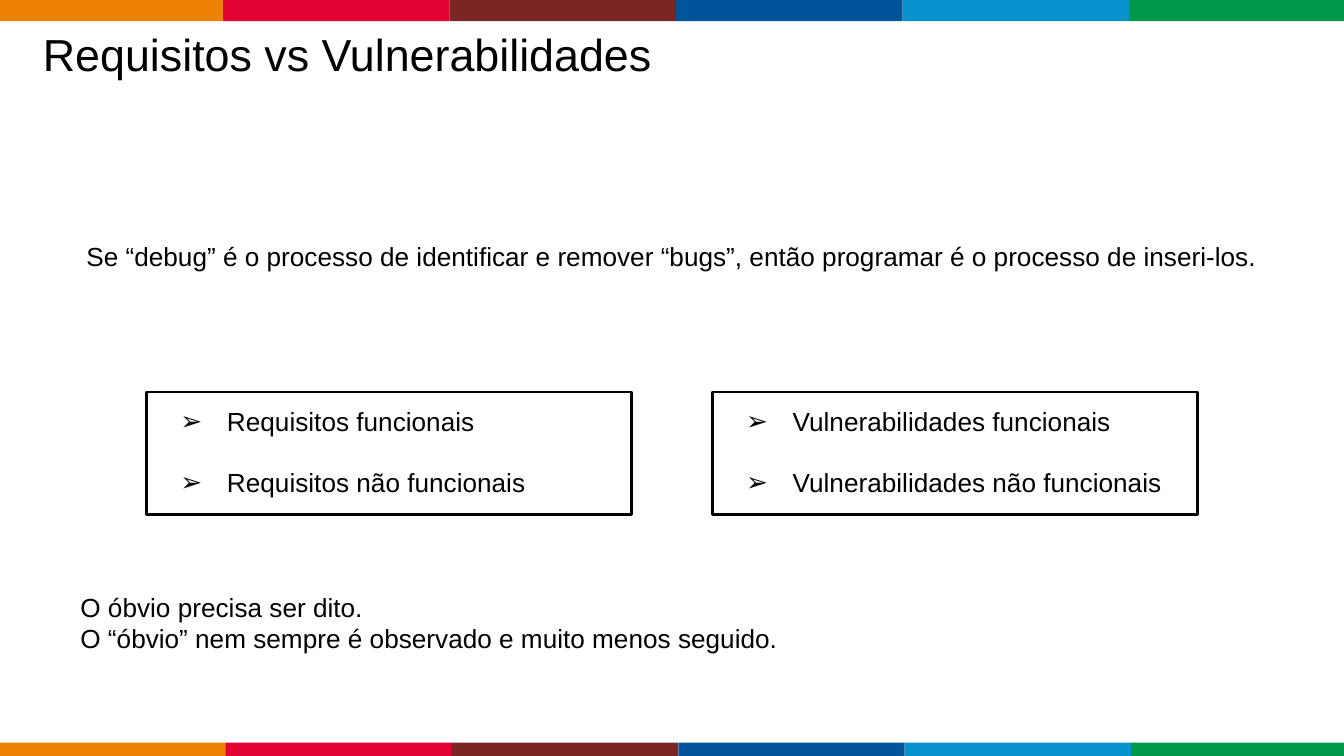
from lxml import etree
from pptx import Presentation
from pptx.dml.color import RGBColor
from pptx.enum import shapes, text
from pptx.oxml import ns
from pptx.util import Cm, Pt

BLACK = RGBColor(0x00, 0x00, 0x00)
BAND_COLORS = [
    RGBColor(0xEF, 0x82, 0x06),
    RGBColor(0xE2, 0x03, 0x34),
    RGBColor(0x7B, 0x25, 0x25),
    RGBColor(0x00, 0x54, 0x9A),
    RGBColor(0x07, 0x94, 0xCE),
    RGBColor(0x00, 0x99, 0x49),
]
FONT = "Arial"
INSET = Cm(0.25)


def place(shape, box):
    shape.left, shape.top, shape.width, shape.height = box


def format_frame(frame, anchor=text.MSO_ANCHOR.TOP):
    frame.word_wrap = True
    frame.auto_size = text.MSO_AUTO_SIZE.NONE
    frame.vertical_anchor = anchor
    frame.margin_left = frame.margin_right = INSET
    frame.margin_top = frame.margin_bottom = INSET


def format_paragraph(paragraph, size, align=text.PP_ALIGN.LEFT, before=0):
    paragraph.alignment = align
    paragraph.space_before = Pt(before)
    paragraph.font.name = FONT
    paragraph.font.size = Pt(size)
    paragraph.font.color.rgb = BLACK


def add_bullet(paragraph):
    properties = paragraph._p.get_or_add_pPr()
    properties.set("marL", str(Cm(1.27)))
    properties.set("indent", str(-Cm(0.88)))
    color = etree.SubElement(properties, ns.qn("a:buClr"))
    etree.SubElement(color, ns.qn("a:srgbClr"), val=str(BLACK))
    etree.SubElement(properties, ns.qn("a:buFont"), typeface=FONT)
    etree.SubElement(properties, ns.qn("a:buChar"), char="➢")


def add_color_band(slide, box):
    """Six equal colour segments, the last one slightly shorter."""
    left, top, width, height = box
    step = Cm(4.28)
    for i, color in enumerate(BAND_COLORS):
        offset = i * step
        segment = slide.shapes.add_shape(
            shapes.MSO_SHAPE.RECTANGLE,
            left + offset, top, min(step, width - offset), height)
        segment.shadow.inherit = False
        segment.fill.solid()
        segment.fill.fore_color.rgb = color
        segment.line.fill.background()


def fill_title(title, box, wording):
    place(title, box)
    format_frame(title.text_frame, text.MSO_ANCHOR.MIDDLE)
    title.text_frame.text = wording
    format_paragraph(title.text_frame.paragraphs[0], 24)


def fill_list(body, box, items):
    """Outlined bullet list with a blank line's gap between items."""
    place(body, box)
    body.line.color.rgb = BLACK
    body.line.width = Pt(1.5)
    format_frame(body.text_frame)
    body.text_frame.text = "\n".join(items)
    for i, item in enumerate(body.text_frame.paragraphs):
        add_bullet(item)
        format_paragraph(item, 14, before=16 if i else 0)


def add_statement(slide, box, wording, align):
    statement = slide.shapes.add_textbox(*box)
    format_frame(statement.text_frame)
    paragraph = statement.text_frame.paragraphs[0]
    paragraph.text = wording
    format_paragraph(paragraph, 14, align)


def main():
    deck = Presentation()
    deck.slide_width, deck.slide_height = Cm(25.4), Cm(14.29)
    slide = deck.slides.add_slide(deck.slide_layouts[3])  # Two Content
    title, requirements, vulnerabilities = slide.placeholders

    # Bands along the bottom and top edges
    band_width, band_height = Cm(25.54), Cm(0.4)
    add_color_band(slide, (Cm(-0.02), Cm(14.04), band_width, band_height))
    add_color_band(slide, (Cm(-0.06), 0, band_width, band_height))

    # Title
    fill_title(title, (Cm(0.56), Cm(0.18), Cm(23.67), Cm(1.68)),
               "Requisitos vs Vulnerabilidades")

    # Lists side by side
    list_top, list_width, list_height = Cm(7.41), Cm(9.17), Cm(2.31)
    fill_list(requirements, (Cm(2.77), list_top, list_width, list_height),
              ["Requisitos funcionais", "Requisitos não funcionais"])
    fill_list(vulnerabilities, (Cm(13.46), list_top, list_width, list_height),
              ["Vulnerabilidades funcionais", "Vulnerabilidades não funcionais"])

    # Statements above and below the lists
    margin, statement_width = Cm(1.27), Cm(22.86)
    add_statement(
        slide, (margin, Cm(4.29), statement_width, Cm(1.12)),
        "Se “debug” é o processo de identificar e remover “bugs”, "
        "então programar é o processo de inseri-los.",
        text.PP_ALIGN.CENTER)
    add_statement(
        slide, (margin, Cm(10.92), statement_width, Cm(1.7)),
        "O óbvio precisa ser dito.\v"
        "O “óbvio” nem sempre é observado e muito menos seguido.",
        text.PP_ALIGN.LEFT)

    deck.save("out.pptx")


if __name__ == "__main__":
    main()
